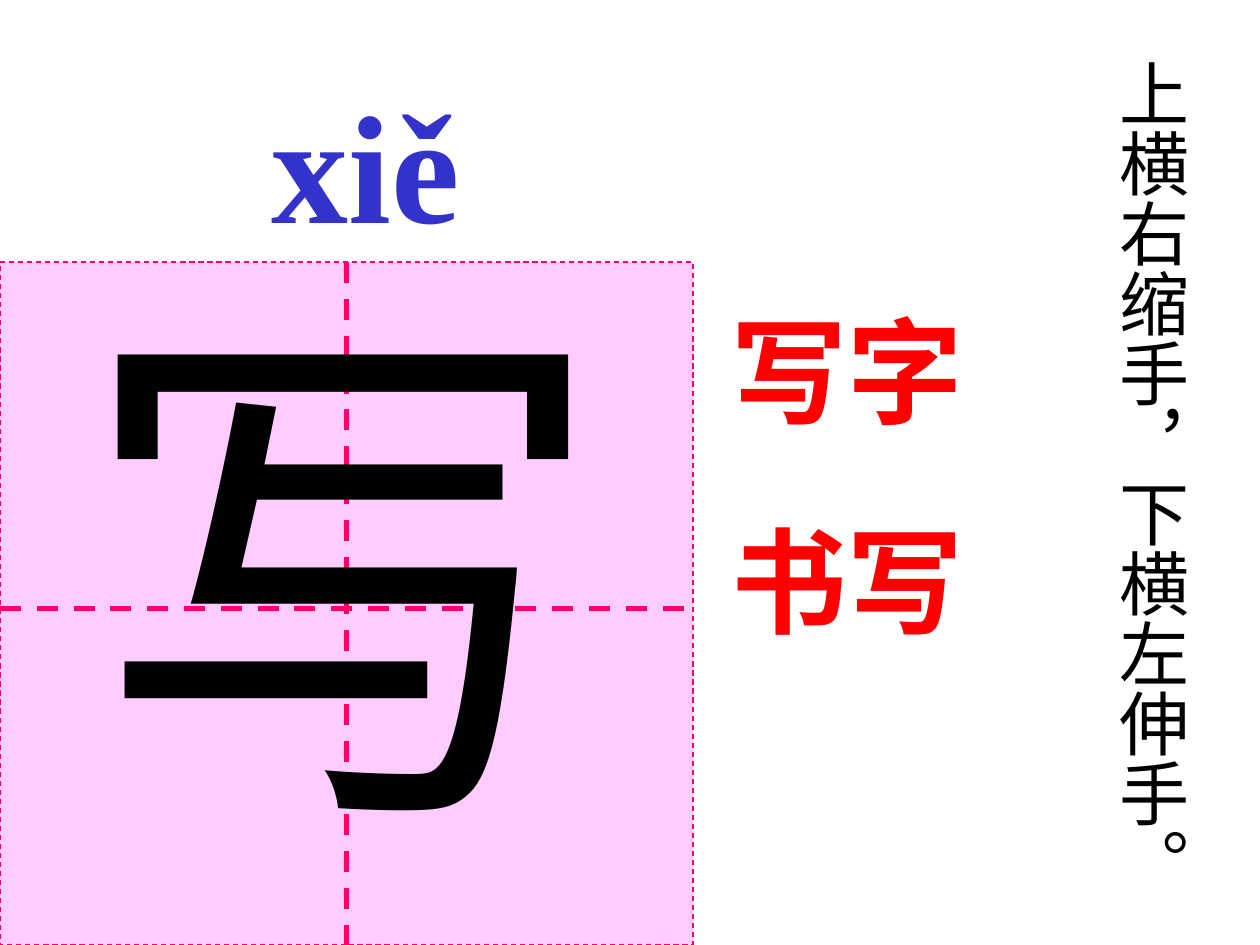
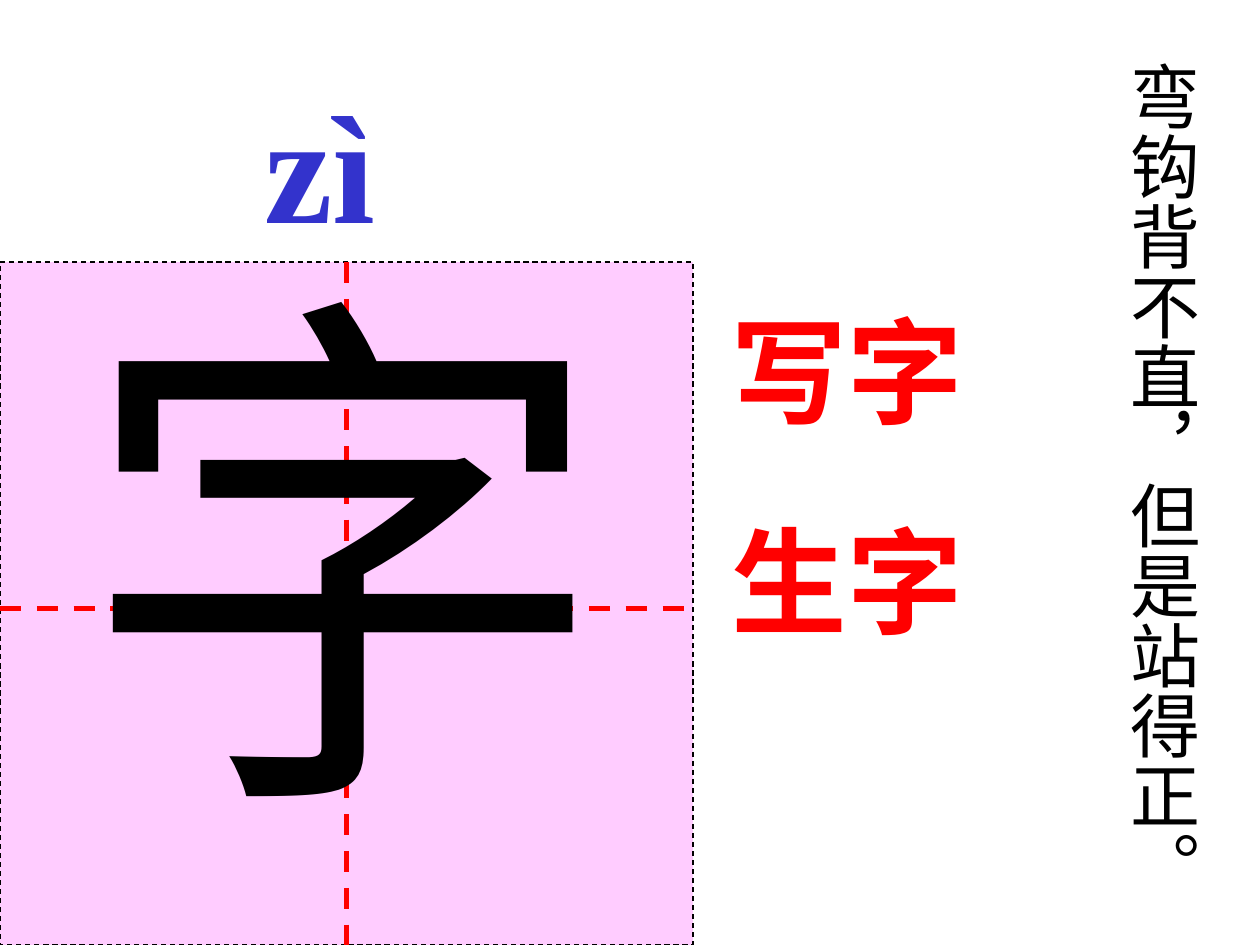
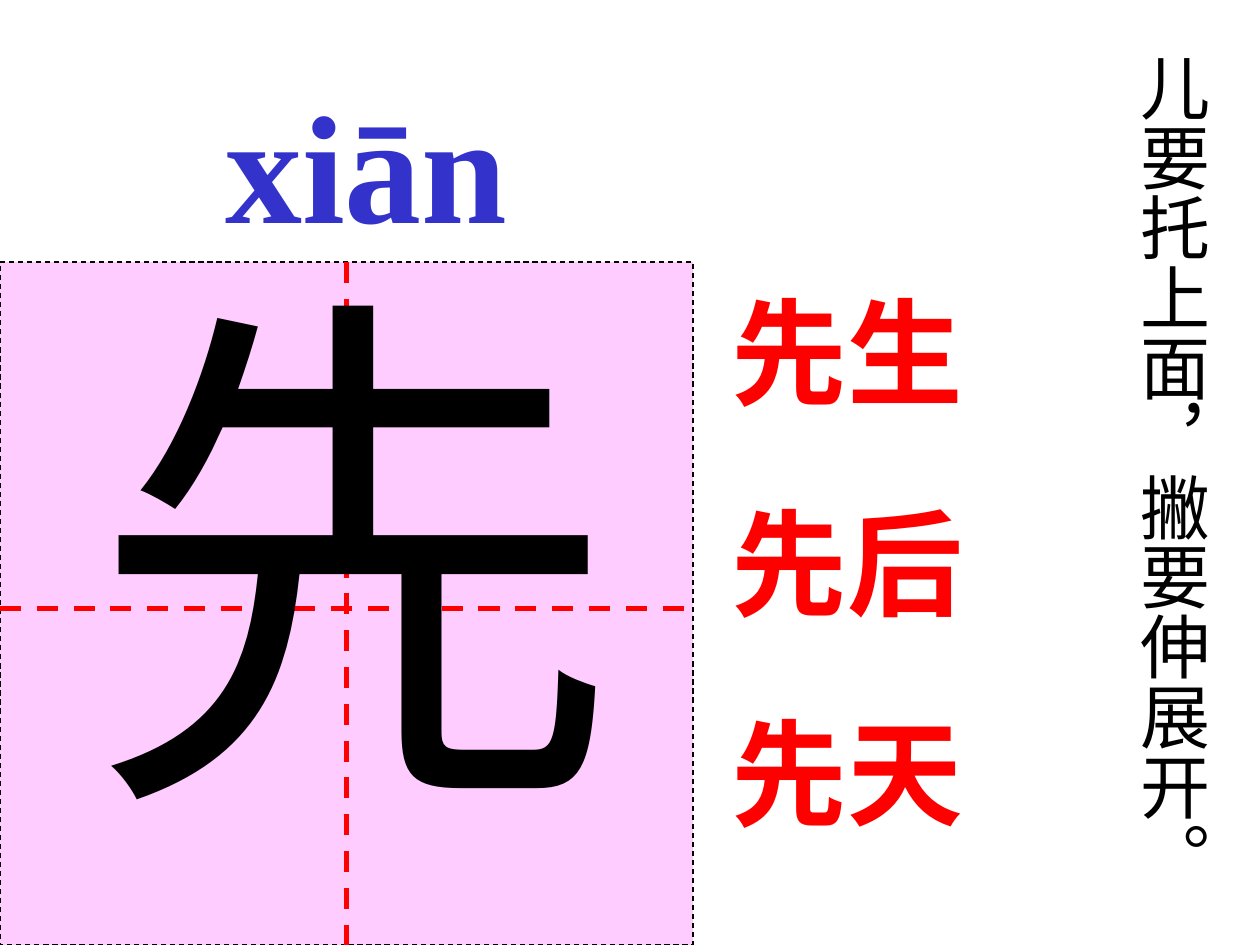
from pptx import Presentation
from pptx.dml.color import RGBColor
from pptx.enum.dml import MSO_LINE
from pptx.enum.shapes import MSO_CONNECTOR, MSO_SHAPE
from pptx.enum.text import MSO_AUTO_SIZE
from pptx.oxml.ns import qn
from pptx.util import Emu, Pt
from lxml import etree

DASH = MSO_LINE.DASH
STRAIGHT = MSO_CONNECTOR.STRAIGHT
RECTANGLE = MSO_SHAPE.RECTANGLE
GROW = MSO_AUTO_SIZE.SHAPE_TO_FIT_TEXT

EMU_PER_PX = 9144
SLIDE_W, SLIDE_H = 1000, 750
GRID_TOP, GRID_W = 208, 550
GRID_MID_X, GRID_MID_Y = 275, 483

BLACK = RGBColor(0x00, 0x00, 0x00)
RED = RGBColor(0xFF, 0x00, 0x00)
ROSE = RGBColor(0xFF, 0x00, 0x66)
PINK = RGBColor(0xFF, 0xCC, 0xFF)
BLUE = RGBColor(0x33, 0x33, 0xCC)

FACE = "Times New Roman"
CHARACTER_FONT = {"name": FACE, "size": Pt(305), "bold": False}
PINYIN_FONT = {"name": FACE, "size": Pt(88), "bold": True}
WORD_FONT = {"name": FACE, "size": Pt(66), "bold": True}
RHYME_FONT = {"name": FACE, "size": Pt(40), "bold": False}
WORD_GAP = Pt(41.2)

LESSONS = [
    {
        "border": ROSE, "guide": ROSE,
        "character": ("写", 51, 186),
        "pinyin": ("xiě", 175, 31),
        "words": (["写字", "书写"], 233, 288),
        "rhyme": ("上横右缩手，下横左伸手。", 867, 37),
    },
    {
        "border": BLACK, "guide": RED,
        "character": ("字", 51, 170),
        "pinyin": ("zì", 108, 92),
        "words": (["写字", "生字"], 233, 455),
        "rhyme": ("弯钩背不直，但是站得正。", 875, 39),
    },
    {
        "border": BLACK, "guide": RED,
        "character": ("先", 59, 170),
        "pinyin": ("xiān", 108, 61),
        "words": (["先生", "先后", "先天"], 218, 455),
        "rhyme": ("儿要托上面，撇要伸展开。", 883, 32),
    },
]


def px(length):
    return Emu(length * EMU_PER_PX)


def box(*lengths):
    return [px(length) for length in lengths]


def set_all(target, values):
    for attribute, value in values.items():
        setattr(target, attribute, value)


def style_line(line, color, width):
    line.color.rgb = color
    set_all(line, {"width": Pt(width), "dash_style": DASH})


def add_guide(grid, ends, color):
    guide = grid.shapes.add_connector(STRAIGHT, *box(*ends))
    style_line(guide.line, color, 3)
    etree.SubElement(guide._element.spPr, qn("a:effectLst"))


def add_writing_grid(slide, border, guide):
    grid = slide.shapes.add_group_shape()
    square = grid.shapes.add_shape(
        RECTANGLE, *box(0, GRID_TOP, GRID_W, SLIDE_H - GRID_TOP))
    square.shadow.inherit = False
    square.fill.solid()
    square.fill.fore_color.rgb = PINK
    style_line(square.line, border, 0.75)
    add_guide(grid, (0, GRID_MID_Y, GRID_W, GRID_MID_Y), guide)
    add_guide(grid, (GRID_MID_X, GRID_TOP, GRID_MID_X, SLIDE_H), guide)


def add_text(slide, bounds, lines, font, color, gap=0, indent=0, vertical=False):
    frame = slide.shapes.add_textbox(*box(*bounds)).text_frame
    side, end = (5, 10) if vertical else (10, 5)
    set_all(frame, {
        "margin_left": px(side), "margin_right": px(side),
        "margin_top": px(end), "margin_bottom": px(end),
        "word_wrap": not vertical, "auto_size": GROW,
    })
    if vertical:
        frame._txBody.bodyPr.set("vert", "eaVert")
    for index, line in enumerate(lines):
        paragraph = frame.add_paragraph() if index else frame.paragraphs[0]
        if index:
            paragraph.space_before = gap
        if indent:
            paragraph._p.get_or_add_pPr().set("marL", str(px(indent)))
        run = paragraph.add_run()
        run.text = line
        set_all(run.font, font)
        run.font.color.rgb = color


def add_lesson(slide, lesson):
    add_writing_grid(slide, lesson["border"], lesson["guide"])
    character, left, top = lesson["character"]
    add_text(slide, (left, top, 483, 519), [character], CHARACTER_FONT, BLACK)
    pinyin, left, indent = lesson["pinyin"]
    add_text(slide, (left, 50, 483, 157), [pinyin], PINYIN_FONT, BLUE,
             indent=indent)
    words, top, height = lesson["words"]
    add_text(slide, (571, top, 292, height), words, WORD_FONT, RED, gap=WORD_GAP)
    rhyme, left, top = lesson["rhyme"]
    add_text(slide, (left, top, 86, 676), [rhyme], RHYME_FONT, BLACK,
             vertical=True)


def main():
    deck = Presentation()
    set_all(deck, {"slide_width": px(SLIDE_W), "slide_height": px(SLIDE_H)})
    blank = deck.slide_layouts[6]
    for lesson in LESSONS:
        add_lesson(deck.slides.add_slide(blank), lesson)
    deck.save("out.pptx")


if __name__ == "__main__":
    main()
